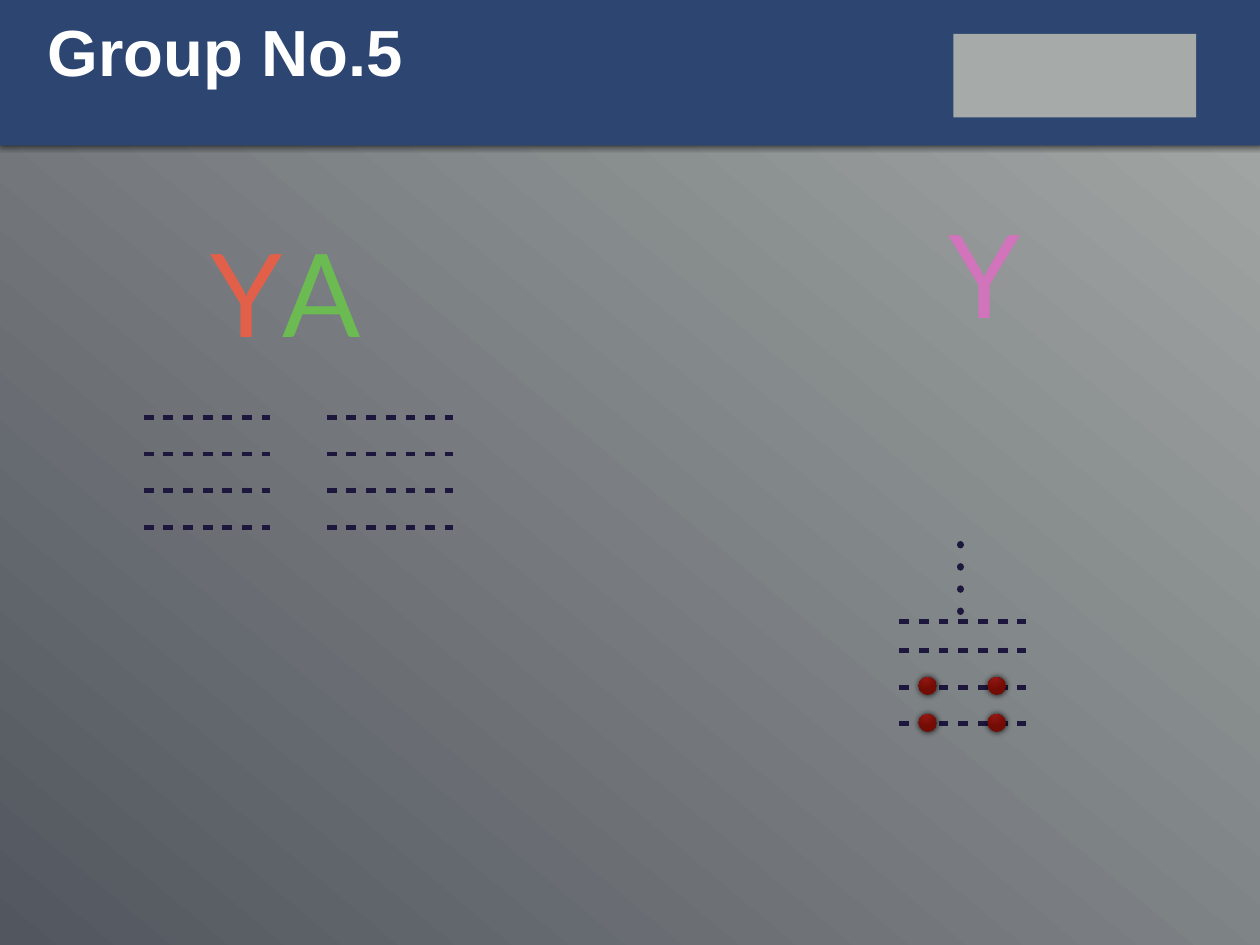
from pptx import Presentation
from pptx.dml.color import RGBColor
from pptx.enum.shapes import MSO_CONNECTOR, MSO_SHAPE
from pptx.enum.text import MSO_ANCHOR, PP_ALIGN
from pptx.oxml import parse_xml
from pptx.oxml.ns import nsdecls, qn
from pptx.util import Cm, Pt

NAVY = RGBColor(0x2C, 0x46, 0x71)
INK = RGBColor(0x1D, 0x16, 0x3D)
WHITE = RGBColor(0xFF, 0xFF, 0xFF)
ORANGE = RGBColor(0xE2, 0x60, 0x49)
GREEN = RGBColor(0x6B, 0xBA, 0x52)
PINK = RGBColor(0xD1, 0x74, 0xBB)
BACKGROUND = (RGBColor(0xA6, 0xAA, 0xA8), RGBColor(0x52, 0x57, 0x5F))
RED_BALL = (RGBColor(0x97, 0x18, 0x17), RGBColor(0x72, 0x0C, 0x04))

TITLE = "Group No.5"
WORDS = [
    (5.52, 6.55, 5.36, [("Y", ORANGE), ("A", GREEN)]),
    (26.94, 6.01, 2.56, [("Y", PINK)]),
]
WORD_HEIGHT = 3.61

BANNER = (-0.08, -0.1, 36.3, 4.27)
HEADER_BLOCK = (27.33, 0.97, 6.96, 2.4)

ROW_LENGTH = 3.63
LEFT_ROWS = [11.97 + 1.05 * row for row in range(4)]
ROW_BLOCKS = [(4.12, LEFT_ROWS), (9.37, LEFT_ROWS), (25.78, [17.83, 18.66, 19.71, 20.75])]
STEM = (27.53, 17.53, 27.53, 15.42)

BALL_SIZE = (0.53, 0.51)
BALLS = [(left, top) for top in (19.42, 20.48) for left in (26.33, 28.31)]


def add_shadow(shape, blur):
    shape.shadow.inherit = False
    effects = shape.element.spPr.find(qn("a:effectLst"))
    effects.append(parse_xml(
        f'<a:outerShdw {nsdecls("a")} blurRad="{Pt(blur)}" dist="0" dir="18900000" rotWithShape="0">'
        '<a:srgbClr val="000000"><a:alpha val="80000"/></a:srgbClr></a:outerShdw>'))


def set_gradient(fill, colors):
    fill.gradient()
    for stop, color in zip(fill.gradient_stops, colors):
        stop.color.rgb = color


def add_plain_rectangle(slide, bounds, color):
    rectangle = slide.shapes.add_shape(MSO_SHAPE.RECTANGLE, *map(Cm, bounds))
    rectangle.fill.solid()
    rectangle.fill.fore_color.rgb = color
    rectangle.line.fill.background()
    rectangle.shadow.inherit = False
    return rectangle


def add_ball(slide, left, top):
    ball = slide.shapes.add_shape(MSO_SHAPE.OVAL, Cm(left), Cm(top), *map(Cm, BALL_SIZE))
    set_gradient(ball.fill, RED_BALL)
    linear = ball.element.spPr.find(qn("a:gradFill")).find(qn("a:lin"))
    linear.getparent().replace(linear, parse_xml(
        f'<a:path {nsdecls("a")} path="circle">'
        '<a:fillToRect l="38000" t="-20000" r="62000" b="120000"/></a:path>'))
    ball.line.fill.background()
    add_shadow(ball, 5)


def add_dashes(slide, ends, width, dash, gap, cap):
    line = slide.shapes.add_connector(MSO_CONNECTOR.STRAIGHT, *map(Cm, ends))
    line.line.color.rgb = INK
    line.line.width = Pt(width)
    properties = line.element.spPr
    outline = properties.find(qn("a:ln"))
    outline.set("cap", cap)
    outline.append(parse_xml(
        f'<a:custDash {nsdecls("a")}><a:ds d="{dash * 100000}" sp="{gap * 100000}"/></a:custDash>'))
    properties.append(parse_xml(f'<a:effectLst {nsdecls("a")}/>'))


def prepare_frame(frame):
    frame.word_wrap = False
    frame.vertical_anchor = MSO_ANCHOR.MIDDLE
    frame.margin_left = frame.margin_right = Cm(0.15)
    frame.margin_top = frame.margin_bottom = Cm(0.15)


def add_word(slide, left, top, width, letters):
    box = slide.shapes.add_textbox(Cm(left), Cm(top), Cm(width), Cm(WORD_HEIGHT))
    prepare_frame(box.text_frame)
    paragraph = box.text_frame.paragraphs[0]
    paragraph.alignment = PP_ALIGN.CENTER
    for letter, color in letters:
        run = paragraph.add_run()
        run.text = letter
        run.font.name = "Lato"
        run.font.size = Pt(94)
        run.font.color.rgb = color


def add_header(slide):
    title = slide.shapes.title
    banner = add_plain_rectangle(slide, BANNER, NAVY)
    add_shadow(banner, 6)
    title.element.addprevious(banner.element)
    add_plain_rectangle(slide, HEADER_BLOCK, BACKGROUND[0])

    title.left, title.top, title.width, title.height = map(Cm, (1.22, 0.18, 11.53, 2.54))
    title.text_frame.text = TITLE
    prepare_frame(title.text_frame)
    paragraph = title.text_frame.paragraphs[0]
    paragraph.alignment = PP_ALIGN.LEFT
    font = paragraph.runs[0].font
    font.name = "Arial"
    font.size = Pt(53)
    font.bold = True
    font.color.rgb = WHITE


def main():
    """Build the Group No.5 slide with its letters, dashed rows and balls."""
    presentation = Presentation()
    presentation.slide_width, presentation.slide_height = Cm(36.12), Cm(27.1)
    slide = presentation.slides.add_slide(presentation.slide_layouts[5])
    set_gradient(slide.background.fill, BACKGROUND)
    slide.background.fill.gradient_angle = 230

    add_header(slide)
    for left, rows in ROW_BLOCKS:
        for top in rows:
            add_dashes(slide, (left, top, left + ROW_LENGTH, top), 4, 2, 2, "flat")
    add_dashes(slide, STEM, 6, 1, 2, "rnd")
    for word in WORDS:
        add_word(slide, *word)
    for ball in BALLS:
        add_ball(slide, *ball)
    presentation.save("out.pptx")


if __name__ == "__main__":
    main()
